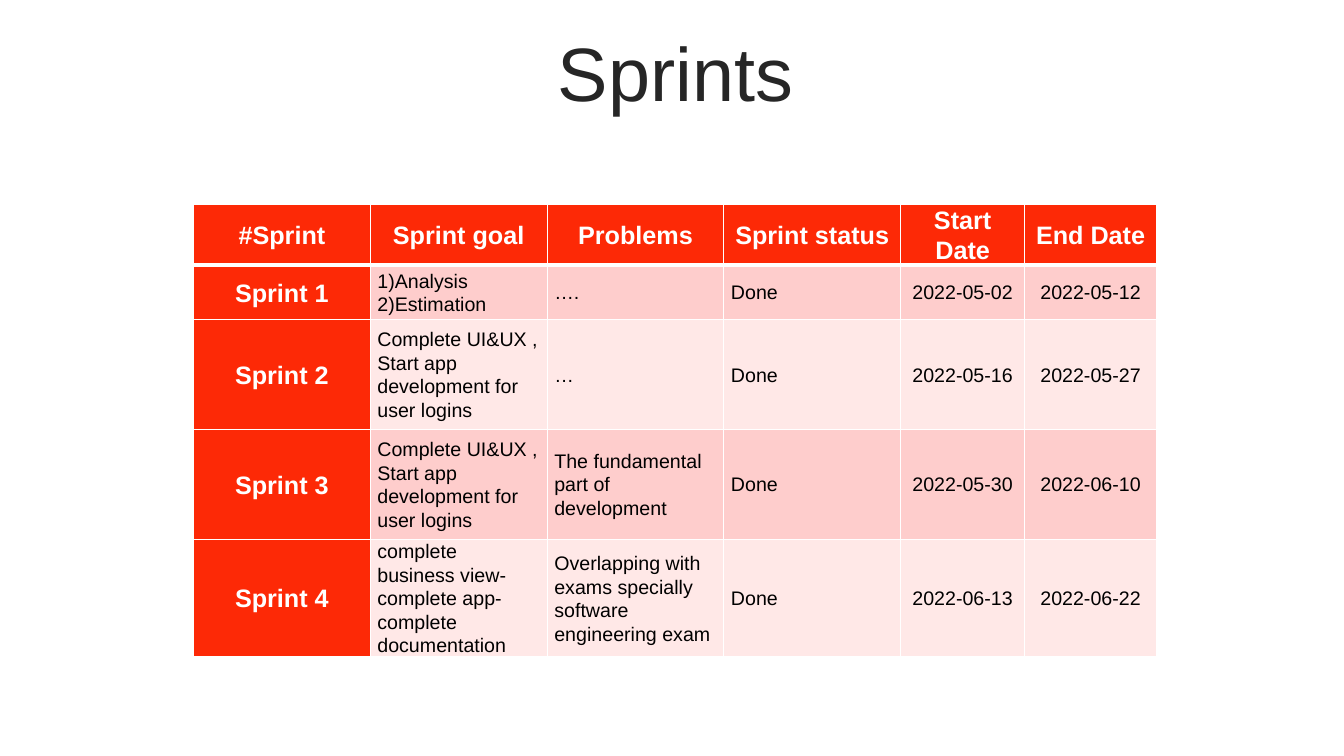
import dataclasses

import lxml.etree
import pptx
import pptx.dml.color
import pptx.enum.text
import pptx.oxml.ns
import pptx.util

Cm = pptx.util.Cm
Pt = pptx.util.Pt
ALIGN = pptx.enum.text.PP_ALIGN
MIDDLE = pptx.enum.text.MSO_ANCHOR.MIDDLE


@dataclasses.dataclass(frozen=True)
class Theme:
    """Hold the colours, font and type sizes of the slide."""
    font: str = "Arial"
    title: str = "262626"
    accent: str = "FD2906"
    bands: tuple = ("FECDCC", "FFE8E7")
    white: str = "FFFFFF"
    ink: str = "000000"
    title_size: int = 54
    head_size: int = 18
    body_size: int = 14
    rule: int = 1
    head_rule: int = 3


THEME = Theme()
COLUMN_WIDTHS = (4.45, 4.46, 4.45, 4.46, 3.12, 3.33)
ROW_HEIGHTS = (1.5, 1.37, 2.77, 2.77, 2.9)
FIRST_DATE_COLUMN = 4
LOGIN_GOAL = "Complete UI&UX , Start app development for user logins"
ROWS = (
    ("#Sprint", "Sprint goal", "Problems", "Sprint status", "Start Date", "End Date"),
    ("Sprint 1", "1)Analysis\n2)Estimation", "….", "Done", "2022-05-02", "2022-05-12"),
    ("Sprint 2", LOGIN_GOAL, "…", "Done", "2022-05-16", "2022-05-27"),
    ("Sprint 3", LOGIN_GOAL, "The fundamental part of development", "Done",
     "2022-05-30", "2022-06-10"),
    ("Sprint 4", "complete business view-complete app-complete documentation",
     "Overlapping with exams specially software engineering exam", "Done",
     "2022-06-13", "2022-06-22"),
)


def rgb(color):
    """Turn a hex string into a colour."""
    return pptx.dml.color.RGBColor.from_string(color)


def format_text(tf, size, color, bold, align, spacing):
    """Format every paragraph and run of a text frame."""
    for p in tf.paragraphs:
        p.alignment = align
        p.line_spacing = spacing
        for r in p.runs:
            r.font.name = THEME.font
            r.font.size = Pt(size)
            r.font.bold = bold
            r.font.color.rgb = rgb(color)


def add_title(s, text):
    """Place and format the slide title."""
    sp = s.shapes.title
    sp.left, sp.top, sp.width, sp.height = Cm(0.94), Cm(0.94), Cm(32.16), Cm(2.01)
    tf = sp.text_frame
    tf.text = text
    tf.vertical_anchor = MIDDLE
    format_text(tf, THEME.title_size, THEME.title, False, ALIGN.CENTER, 0.9)
    tf.paragraphs[0].space_before = Pt(10)


def set_borders(cell, top, bottom):
    """Draw white rules around a cell."""
    qn = pptx.oxml.ns.qn
    tc_pr = cell._tc.get_or_add_tcPr()
    widths = {"L": THEME.rule, "R": THEME.rule, "T": top, "B": bottom}
    for side, width in widths.items():
        ln = lxml.etree.SubElement(tc_pr, qn(f"a:ln{side}"), w=str(Pt(width)))
        fill = lxml.etree.SubElement(ln, qn("a:solidFill"))
        lxml.etree.SubElement(fill, qn("a:srgbClr"), val=THEME.white)


def fill_cell(cell, text, row, col):
    """Write and style one table cell according to its place."""
    heading = row == 0 or col == 0
    set_borders(cell,
                THEME.head_rule if row == 1 else THEME.rule,
                THEME.head_rule if row == 0 else THEME.rule)
    cell.fill.solid()
    cell.fill.fore_color.rgb = rgb(THEME.accent if heading else THEME.bands[(row - 1) % 2])
    cell.margin_left = cell.margin_right = Cm(0.18)
    cell.margin_top = cell.margin_bottom = 0
    cell.vertical_anchor = MIDDLE
    cell.text_frame.text = text
    centred = heading or col >= FIRST_DATE_COLUMN
    format_text(cell.text_frame,
                THEME.head_size if heading else THEME.body_size,
                THEME.white if heading else THEME.ink,
                heading, ALIGN.CENTER if centred else ALIGN.LEFT, 1.07)


def add_sprint_table(s):
    """Add the table of sprints."""
    table = s.shapes.add_table(len(ROWS), len(COLUMN_WIDTHS), Cm(4.88), Cm(5.16),
                               Cm(sum(COLUMN_WIDTHS)), Cm(sum(ROW_HEIGHTS))).table
    table.first_col = True
    for column, width in zip(table.columns, COLUMN_WIDTHS):
        column.width = Cm(width)
    for row, (height, texts) in enumerate(zip(ROW_HEIGHTS, ROWS)):
        table.rows[row].height = Cm(height)
        for col, text in enumerate(texts):
            fill_cell(table.cell(row, col), text, row, col)


def main():
    """Build and save the slide."""
    prs = pptx.Presentation()
    prs.slide_width, prs.slide_height = Cm(33.87), Cm(19.05)
    s = prs.slides.add_slide(prs.slide_layouts.get_by_name("Title Only"))
    s.background.fill.solid()
    s.background.fill.fore_color.rgb = rgb(THEME.white)
    add_title(s, "Sprints")
    add_sprint_table(s)
    prs.save("out.pptx")


if __name__ == "__main__":
    main()
